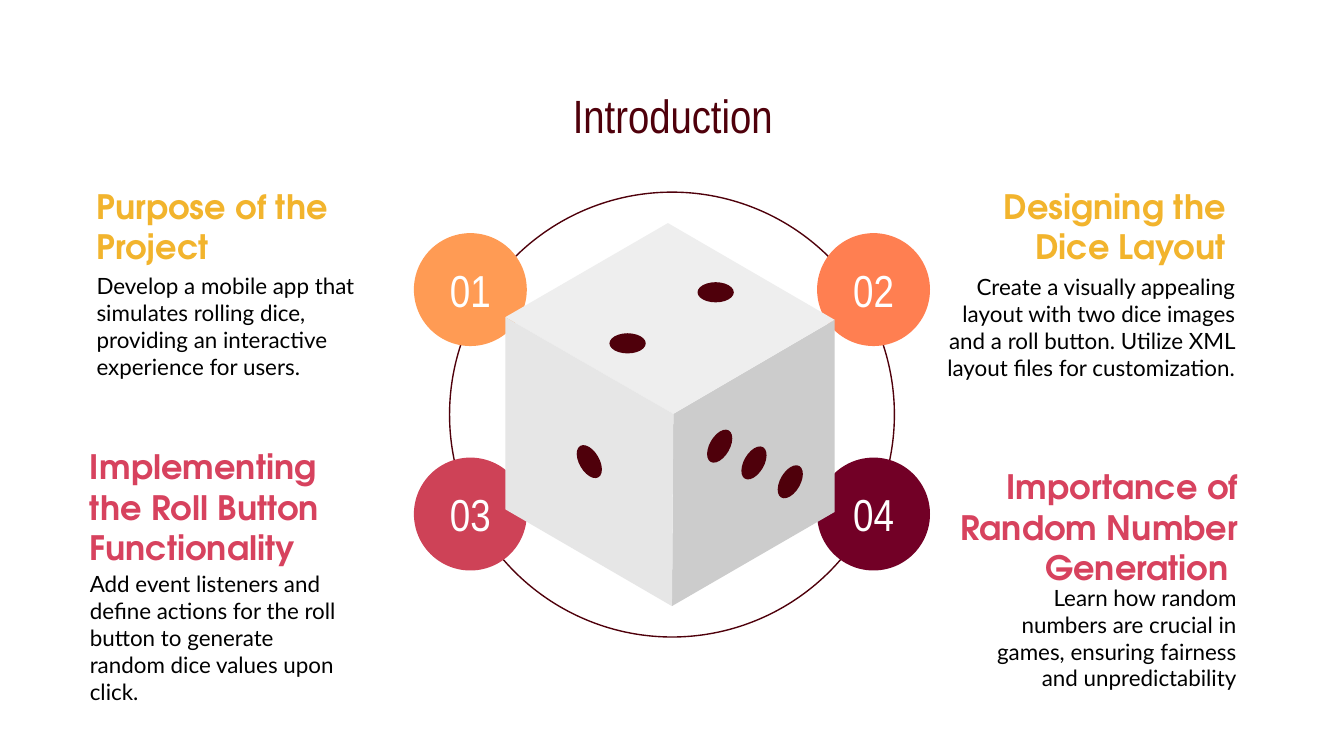
from pptx import Presentation
from pptx.dml.color import RGBColor
from pptx.enum.shapes import MSO_SHAPE
from pptx.enum.text import MSO_ANCHOR, PP_ALIGN
from pptx.util import Inches, Pt

WINE = RGBColor(0x4F, 0x00, 0x0B)
WHITE = RGBColor(0xFF, 0xFF, 0xFF)
BLACK = RGBColor(0x00, 0x00, 0x00)
GOLD = RGBColor(0xF2, 0xB4, 0x2D)
ROSE = RGBColor(0xD7, 0x42, 0x5E)
ORANGE = RGBColor(0xFF, 0x9B, 0x54)
CORAL = RGBColor(0xFF, 0x7F, 0x51)
RED = RGBColor(0xCE, 0x42, 0x57)
BURGUNDY = RGBColor(0x72, 0x00, 0x26)
TOP_GRAY = RGBColor(0xEE, 0xEE, 0xEE)
LEFT_GRAY = RGBColor(0xE6, 0xE6, 0xE6)
RIGHT_GRAY = RGBColor(0xCC, 0xCC, 0xCC)

# A 16:9 slide
presentation = Presentation()
presentation.slide_width = Inches(10)
presentation.slide_height = presentation.slide_width * 9 // 16
slide = presentation.slides.add_slide(presentation.slide_layouts[6])

# The grid has 1000 columns, and rows of the same size
CELL = presentation.slide_width // 1000


def write(shape, text, font, size, color, bold=False, align=PP_ALIGN.LEFT,
          wrap=True, inset_bottom=10):
    frame = shape.text_frame
    frame.word_wrap = wrap
    frame.vertical_anchor = MSO_ANCHOR.MIDDLE
    frame.margin_left = frame.margin_right = frame.margin_top = 10 * CELL
    frame.margin_bottom = inset_bottom * CELL
    paragraph = frame.paragraphs[0]
    paragraph.alignment = align
    run = paragraph.add_run()
    run.text = text
    run.font.name = font
    run.font.size = Pt(size)
    run.font.bold = bold
    run.font.color.rgb = color


def add_oval(center_x, center_y, width, height, fill=None, rotation=0):
    oval = slide.shapes.add_shape(
        MSO_SHAPE.OVAL, round((center_x - width / 2) * CELL),
        round((center_y - height / 2) * CELL), width * CELL, height * CELL)
    oval.shadow.inherit = False
    oval.rotation = rotation
    if fill is None:
        oval.fill.background()
        oval.line.color.rgb = WINE
        oval.line.width = Pt(0.75)
    else:
        oval.fill.solid()
        oval.fill.fore_color.rgb = fill
        oval.line.fill.background()
    return oval


# Ring and numbered circles, two by two
add_oval(500, 308.5, 331, 331)
for index, color in enumerate([ORANGE, CORAL, RED, BURGUNDY]):
    row, column = divmod(index, 2)
    circle = add_oval(350 + 300 * column, 215.5 + 167 * row, 84, 84, color)
    write(circle, f"{index + 1:02}", "Arial Narrow", 24, WHITE,
          align=PP_ALIGN.CENTER, wrap=False)

# Title
title = slide.shapes.add_textbox(78 * CELL, 59 * CELL, 845 * CELL, 53 * CELL)
write(title, "Introduction", "Arial Narrow", 25, WINE, align=PP_ALIGN.CENTER)

# Die faces: right, top, left
faces = [
    (RIGHT_GRAY, [(621, 238), (501, 308), (500, 451), (621, 381)]),
    (TOP_GRAY, [(497, 166), (376, 236), (501, 308), (621, 238)]),
    (LEFT_GRAY, [(376, 236), (376, 379), (500, 451), (501, 308)]),
]
for color, corners in faces:
    builder = slide.shapes.build_freeform(*corners[0], scale=CELL)
    builder.add_line_segments(corners[1:], close=True)
    face = builder.convert_to_shape()
    face.shadow.inherit = False
    face.fill.solid()
    face.fill.fore_color.rgb = color
    face.line.fill.background()

# Pips: width, height, rotation and centers on each face
pips = [
    (15, 27, 30, [(535.5, 332), (561, 344.5), (588, 358.5)]),
    (27, 15, 0, [(532.5, 217.5), (467, 255.5)]),
    (15, 27, -30, [(438.5, 343.5)]),
]
for width, height, rotation, centers in pips:
    for center in centers:
        add_oval(*center, width, height, WINE, rotation)

# Headings: the deeper bottom inset lifts the text off the body below
headings = [
    ("Purpose of the Project", 62, 158, 222, GOLD, PP_ALIGN.LEFT),
    ("Designing the Dice Layout", 716, 158, 206, GOLD, PP_ALIGN.RIGHT),
    ("Implementing the Roll Button Functionality", 57, 367, 206, ROSE, PP_ALIGN.LEFT),
    ("Importance of Random Number Generation ", 704, 382, 227, ROSE, PP_ALIGN.RIGHT),
]
for text, left, top, width, color, align in headings:
    box = slide.shapes.add_textbox(left * CELL, top * CELL, width * CELL, 47 * CELL)
    write(box, text, "TeX Gyre Adventor", 18, color, bold=True, align=align,
          inset_bottom=37)

# Body texts
bodies = [
    ("Develop a mobile app that simulates rolling dice, providing an interactive "
     "experience for users.", 62, 204, 222, 77, PP_ALIGN.LEFT),
    ("Create a visually appealing layout with two dice images and a roll button. "
     "Utilize XML layout files for customization.", 678, 198, 251, 91, PP_ALIGN.RIGHT),
    ("Add event listeners and define actions for the roll button to generate random "
     "dice values upon click.", 57, 436, 206, 77, PP_ALIGN.LEFT),
    ("Learn how random numbers are crucial in games, ensuring fairness and "
     "unpredictability", 709, 436, 221, 77, PP_ALIGN.RIGHT),
]
for text, left, top, width, height, align in bodies:
    box = slide.shapes.add_textbox(left * CELL, top * CELL, width * CELL, height * CELL)
    write(box, text, "Lato", 12, BLACK, align=align)

presentation.save("out.pptx")
